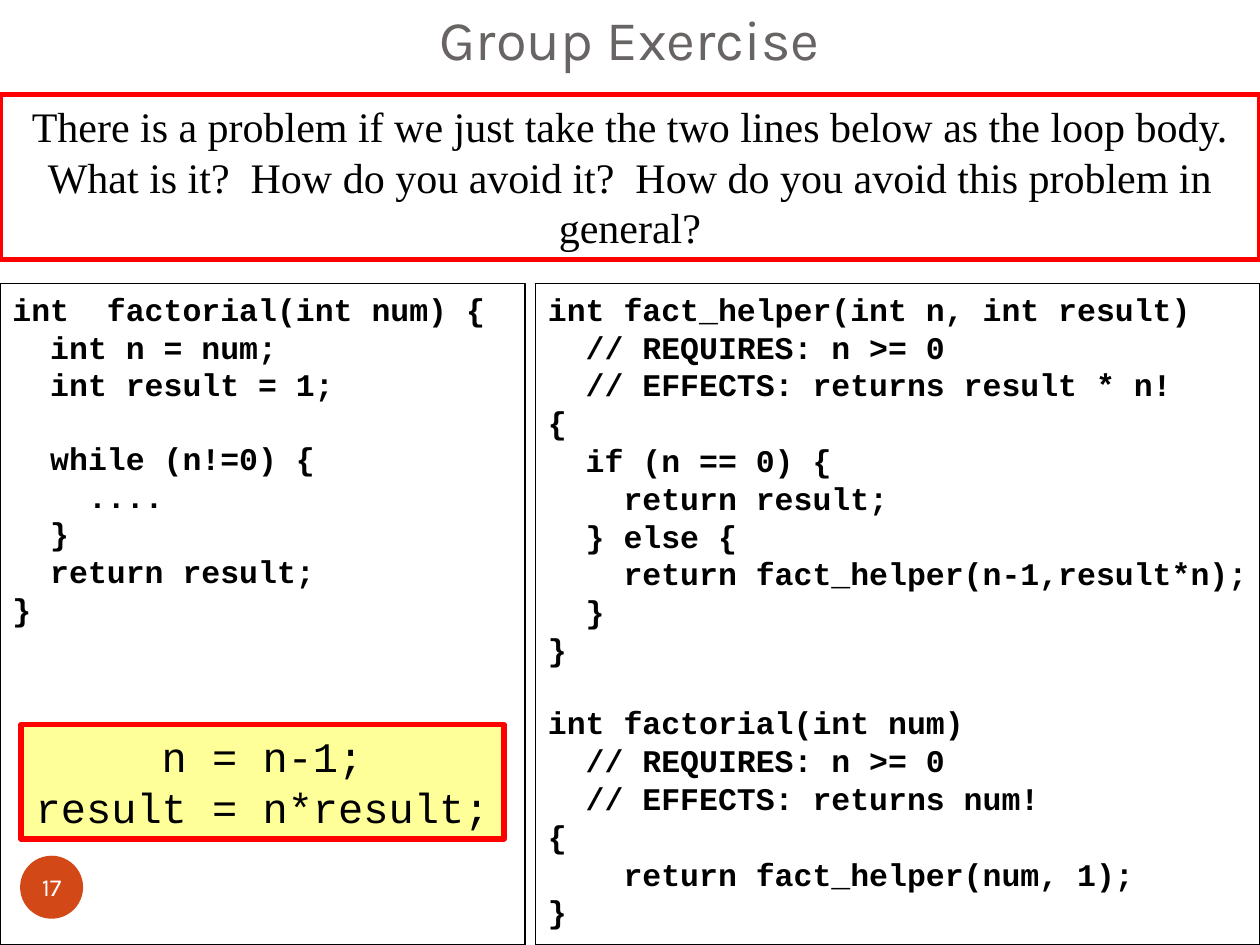
import pptx
import pptx.util
import pptx.dml.color
import pptx.enum.shapes
import pptx.enum.text

Pt = pptx.util.Pt
RGBColor = pptx.dml.color.RGBColor
Shape = pptx.enum.shapes.MSO_SHAPE
Anchor = pptx.enum.text.MSO_ANCHOR
Align = pptx.enum.text.PP_ALIGN

BLACK = RGBColor(0x00, 0x00, 0x00)
WHITE = RGBColor(0xFF, 0xFF, 0xFF)
RED = RGBColor(0xFF, 0x00, 0x00)
YELLOW = RGBColor(0xFF, 0xFF, 0x99)
ORANGE = RGBColor(0xD3, 0x48, 0x17)
GRAY = RGBColor(0x69, 0x64, 0x64)

# Content: code is given as blocks of (indent level, line)
TITLE = "Group Exercise"
QUESTION = [
    (0, "There is a problem if we just take the two lines below as the loop body."),
    (0, "What is it?  How do you avoid it?  How do you avoid this problem in general?"),
]
LOOP_BODY = [(0, "n = n-1;"), (0, "result = n*result;")]
ITERATIVE = [
    [(0, "int  factorial(int num) {"), (1, "int n = num;"), (1, "int result = 1;")],
    [(1, "while (n!=0) {"), (2, "...."), (1, "}"), (1, "return result;"), (0, "}")],
]
RECURSIVE = [
    [(0, "int fact_helper(int n, int result)"), (1, "// REQUIRES: n >= 0"),
     (1, "// EFFECTS: returns result * n!"), (0, "{"), (1, "if (n == 0) {"),
     (2, "return result;"), (1, "} else {"),
     (2, "return fact_helper(n-1,result*n);"), (1, "}"), (0, "}")],
    [(0, "int factorial(int num)"), (1, "// REQUIRES: n >= 0"),
     (1, "// EFFECTS: returns num!"), (0, "{"),
     (2, "return fact_helper(num, 1);"), (0, "}")],
]
PAGE_NUMBER = "17"

# Layout
WIDTH, HEIGHT = 720, 540
PANEL_TOP, GAP, LEFT_WIDTH = 162, 6, 300
CODE_INDENT = 21.6
CODE_LINE = 20.4


def write(box, blocks, font, size, color=BLACK, bold=False, align=Align.LEFT,
          anchor=Anchor.TOP, insets=(7.2, 3.6, 7.2, 3.6), wrap=True):
    frame = box.text_frame
    frame.auto_size = pptx.enum.text.MSO_AUTO_SIZE.NONE
    frame.word_wrap = wrap
    frame.vertical_anchor = anchor
    (frame.margin_left, frame.margin_top,
     frame.margin_right, frame.margin_bottom) = map(Pt, insets)
    para = None
    for block in blocks:
        for position, (level, line) in enumerate(block):
            opens_gap = para is not None and position == 0
            para = frame.paragraphs[0] if para is None else frame.add_paragraph()
            para.alignment = align
            para.space_before = Pt(CODE_LINE if opens_gap else 0)
            if level:
                properties = para._p.get_or_add_pPr()
                properties.set("marL", str(Pt(level * CODE_INDENT)))
                properties.set("indent", "0")
            span = para.add_run()
            span.text = line
            span.font.name, span.font.size = font, Pt(size)
            span.font.bold, span.font.color.rgb = bold, color


def add_box(place, kind=Shape.RECTANGLE, fill=None, line=None, weight=3):
    box = page.shapes.add_shape(kind, *map(Pt, place))
    box.shadow.inherit = False
    if fill is None:
        box.fill.background()
    else:
        box.fill.solid()
        box.fill.fore_color.rgb = fill
    if line is None:
        box.line.fill.background()
    else:
        box.line.color.rgb = line
        box.line.width = Pt(weight)
    return box


deck = pptx.Presentation()
deck.slide_width, deck.slide_height = Pt(WIDTH), Pt(HEIGHT)
page = deck.slides.add_slide(deck.slide_layouts[5])

# Title
title = page.shapes.title
title.left, title.top, title.width, title.height = map(Pt, (0, 0, WIDTH, 48))
write(title, [[(0, TITLE)]], "Karla", 32, color=GRAY, align=Align.CENTER,
      anchor=Anchor.BOTTOM, insets=(7.2, 3.6, 7.2, 7.2))

# Code panels; the right inset is zero so that the longest line fits
right_left = LEFT_WIDTH + GAP
for left, width, code in ((0, LEFT_WIDTH, ITERATIVE),
                          (right_left, WIDTH - right_left, RECURSIVE)):
    panel = add_box((left, PANEL_TOP, width, HEIGHT - PANEL_TOP), line=BLACK, weight=0.75)
    write(panel, code, "Courier New", 18, bold=True, insets=(7.2, 3.6, 0, 3.6))

# Question and the two lines in doubt
question = add_box((0, 54, WIDTH, 94.5), line=RED)
write(question, [QUESTION], "Times New Roman", 24, align=Align.CENTER)
loop_body = add_box((12, 414, 276, 65.4), fill=YELLOW, line=RED)
write(loop_body, [LOOP_BODY], "Courier New", 24, align=Align.CENTER)

# Page number
badge = add_box((11.5, 489, 36, 36), kind=Shape.OVAL, fill=ORANGE)
write(badge, [[(0, PAGE_NUMBER)]], "Karla", 14, color=WHITE, align=Align.CENTER,
      anchor=Anchor.MIDDLE, insets=(0, 0, 0, 0), wrap=False)

deck.save("out.pptx")
